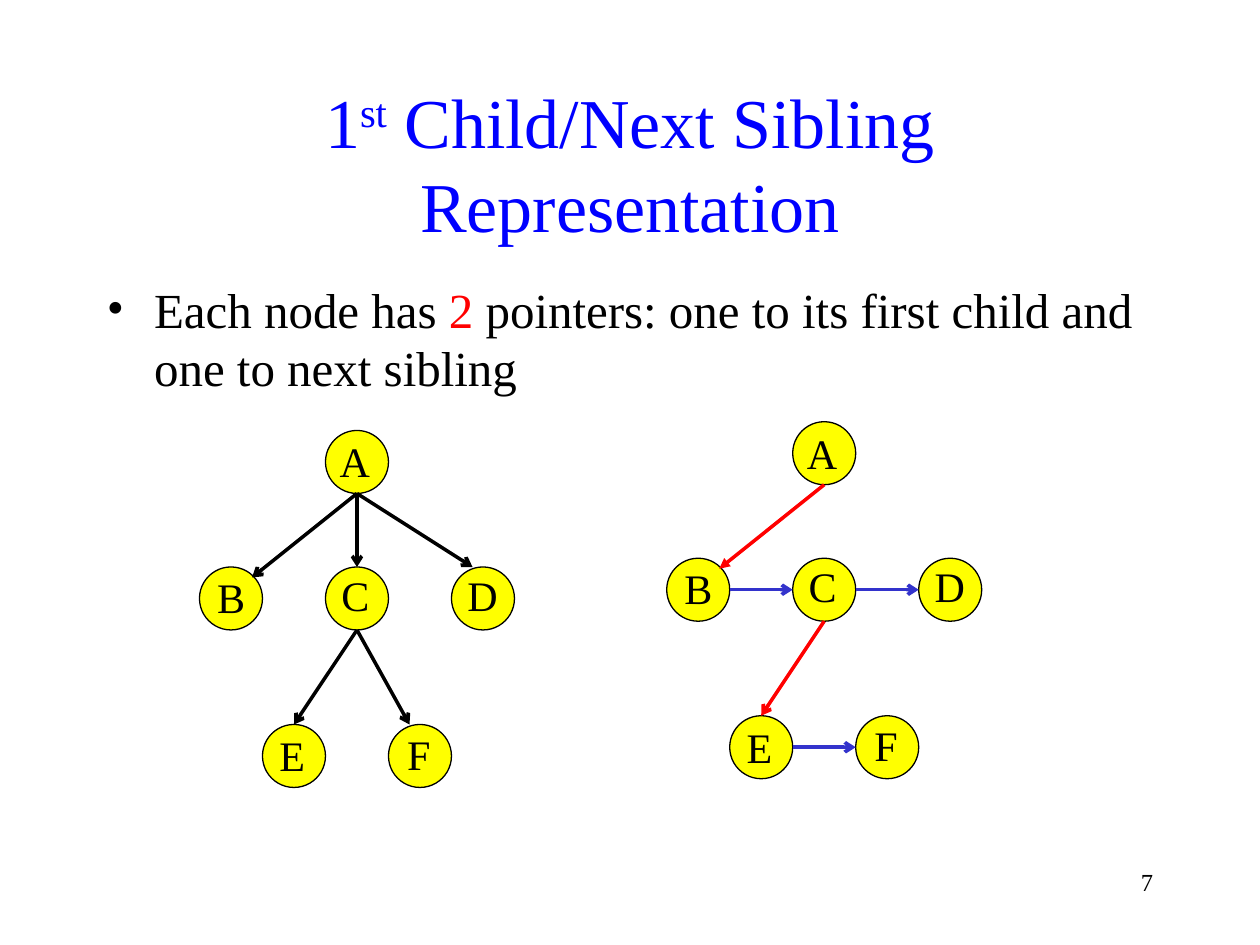
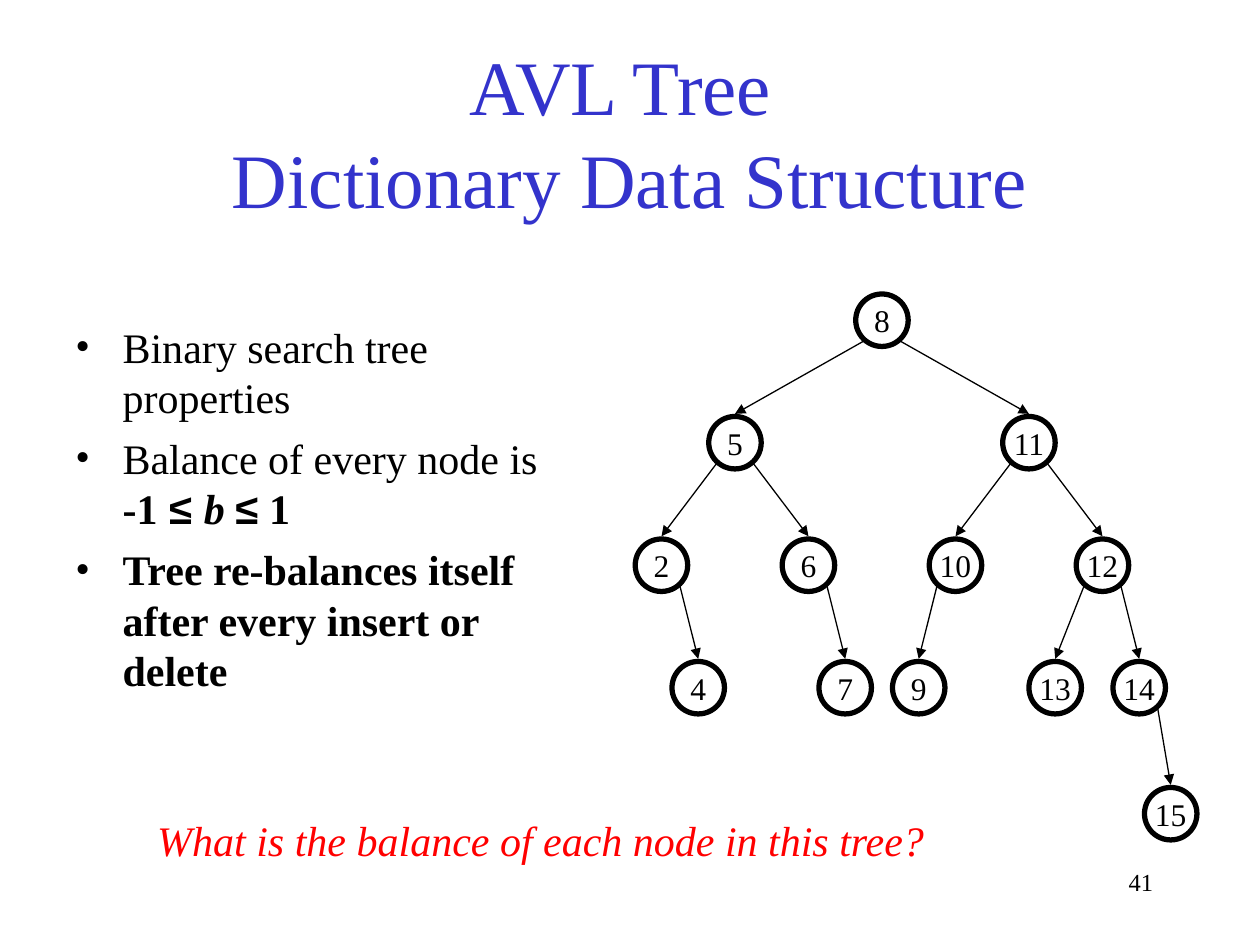
from lxml.etree import SubElement as Sub
from pptx import Presentation
from pptx.dml.color import RGBColor as Rgb
from pptx.enum.shapes import MSO_CONNECTOR as Link, MSO_SHAPE as Kind
from pptx.enum.text import MSO_ANCHOR as Anchor, PP_ALIGN as Align
from pptx.oxml.ns import qn
from pptx.util import Pt

HUES = {"black": "000000", "blue": "0000FF", "navy": "3333CC",
        "red": "FF0000", "yellow": "FFFF00"}
FONT = "Times New Roman"

BOLD = {"bold": True}
SIGN = {"bold": True, "font": "Arial"}
HEADS = [
    [[("1", {}), ("st", {"raised": True}),
      (" Child/Next Sibling Representation", {})]],
    [[("AVL Tree ", {}), ("\n", {}), ("Dictionary Data Structure", {})]],
]
POINTERS = [[("Each node has ", {}), ("2", {"color": "red"}),
             (" pointers: one to its first child and one to next sibling", {})]]
TRAITS = [
    "Binary search tree properties",
    [("Balance of every node is", {}), ("\n", {}), ("-1", BOLD), (" ≤ ", SIGN),
     ("b ", {"bold": True, "italic": True}), ("≤", SIGN), (" 1", BOLD)],
    [("Tree re-balances itself after every insert or delete", BOLD)],
]
QUERY = "What is the balance of each node in this tree?"

NODES = {"A": (72, 0), "B": (0, 78), "C": (72, 78), "D": (144, 78),
         "E": (36, 168), "F": (108, 168)}
NUDGE = {"A": (1, -0.5), "B": (3, -1), "C": (2, -2), "D": (2, -2),
         "E": (2.5, -0.5), "F": (3.5, -1.5)}
LINKS = {"AB": (90, 36, 30, 84), "AC": (90, 36, 90, 78), "AD": (90, 36, 156, 78),
         "CE": (90, 114, 54, 168), "CF": (90, 114, 120, 168),
         "BC": (36, 96, 72, 96), "CD": (108, 96, 144, 96),
         "EF": (72, 186, 108, 186)}
TREES = [
    ((381, 241), [("AB", "red", "triangle"), ("BC", "navy", "arrow"),
                  ("CE", "red", "arrow"), ("EF", "navy", "arrow"),
                  ("CD", "navy", "arrow")]),
    ((114, 246), [(pair, "black", "arrow")
                  for pair in ("AB", "AC", "CE", "CF", "AD")]),
]

AVL = {8: (489, 168, None),
       5: (405, 238, 8), 11: (573, 238, 8),
       2: (363, 308, 5), 6: (447, 308, 5), 10: (531, 308, 11), 12: (615, 308, 11),
       4: (384, 378, 2), 7: (468, 378, 6), 9: (510, 378, 10),
       13: (588, 378, 12), 14: (636, 378, 12),
       15: (654, 450, 14)}


def hue(name):
    return Rgb.from_string(HUES[name])


def write(shape, text, size=24, color="black", align=Align.LEFT, italic=False,
          anchor=Anchor.TOP, wrap=True, bullet=False, side=7.2, edge=3.6, gap=0):
    frame = shape.text_frame
    frame.word_wrap = wrap
    frame.vertical_anchor = anchor
    frame.margin_left = frame.margin_right = Pt(side)
    frame.margin_top = frame.margin_bottom = Pt(edge)
    for i, part in enumerate([text] if isinstance(text, str) else text):
        para = frame.add_paragraph() if i else frame.paragraphs[0]
        para.alignment = align
        if i:
            para.space_before = Pt(gap)
        if bullet:
            props = para._p.get_or_add_pPr()
            props.set("marL", str(Pt(27)))
            props.set("indent", str(Pt(-27)))
            Sub(props, qn("a:buFont")).set("typeface", FONT)
            Sub(props, qn("a:buChar")).set("char", "•")
        for words, look in [(part, {})] if isinstance(part, str) else part:
            if words == "\n":
                para.add_line_break()
                continue
            run = para.add_run()
            run.text = words
            font = run.font
            font.name = look.get("font", FONT)
            font.size = Pt(size)
            font.bold = look.get("bold", False)
            font.italic = look.get("italic", italic)
            font.color.rgb = hue(look.get("color", color))
            if look.get("raised"):
                run._r.get_or_add_rPr().set("baseline", "30000")


def label(slide, area, text, **style):
    write(slide.shapes.add_textbox(*map(Pt, area)), text, **style)


def disc(slide, x, y, size, width, fill=None):
    shape = slide.shapes.add_shape(Kind.OVAL, Pt(x), Pt(y), Pt(size), Pt(size))
    shape.shadow.inherit = False
    if fill:
        shape.fill.solid()
        shape.fill.fore_color.rgb = hue(fill)
    else:
        shape.fill.background()
    shape.line.color.rgb = hue("black")
    shape.line.width = Pt(width)
    return shape


def arrow(slide, ends, color="black", width=0.75, head="triangle"):
    line = slide.shapes.add_connector(Link.STRAIGHT, *map(Pt, ends))
    line.line.color.rgb = hue(color)
    line.line.width = Pt(width)
    props = line._element.spPr
    Sub(props.find(qn("a:ln")), qn("a:tailEnd")).set("type", head)
    Sub(props, qn("a:effectLst"))


def start(deck, number, top, head, size, color):
    slide = deck.slides.add_slide(deck.slide_layouts[6])
    label(slide, (516, 492, 150, 36), number, size=14, align=Align.RIGHT)
    label(slide, (54, top, 612, 90), head, size=size, color=color,
          align=Align.CENTER, anchor=Anchor.MIDDLE, side=14)
    return slide


def sibling(deck):
    slide = start(deck, "7", 48, HEADS[0], 40, "blue")
    label(slide, (54, 156, 612, 324), POINTERS, size=28, bullet=True)
    for (left, top), links in TREES:
        for x, y in NODES.values():
            disc(slide, left + x, top + y, 36, 0.75, "yellow")
        for pair, color, head in links:
            x1, y1, x2, y2 = LINKS[pair]
            arrow(slide, (left + x1, top + y1, left + x2, top + y2),
                  color, 2, head)
        for name, (x, y) in NODES.items():
            dx, dy = NUDGE[name]
            label(slide, (left + x + dx, top + y + dy, 32, 36), name, wrap=False)


def balance(deck):
    slide = start(deck, "41", 30, HEADS[1], 44, "navy")
    size = 30
    for key, (x, y, root) in AVL.items():
        write(disc(slide, x, y, size, 3), str(key), size=18, align=Align.CENTER,
              anchor=Anchor.MIDDLE, wrap=False, side=0, edge=0)
        if root:
            px, py, _ = AVL[root]
            mid = size / 2
            turn = 10.6 if x > px else -10.6
            arrow(slide, (px + mid + turn, py + mid + 12, x + mid, y - 1.5))
    label(slide, (36, 180, 294, 228), TRAITS, bullet=True, gap=6)
    label(slide, (82, 462, 454, 36), QUERY, color="red", italic=True,
          align=Align.CENTER, wrap=False)


def main():
    deck = Presentation()
    deck.slide_width, deck.slide_height = Pt(720), Pt(540)
    sibling(deck)
    balance(deck)
    deck.save("out.pptx")


if __name__ == "__main__":
    main()
